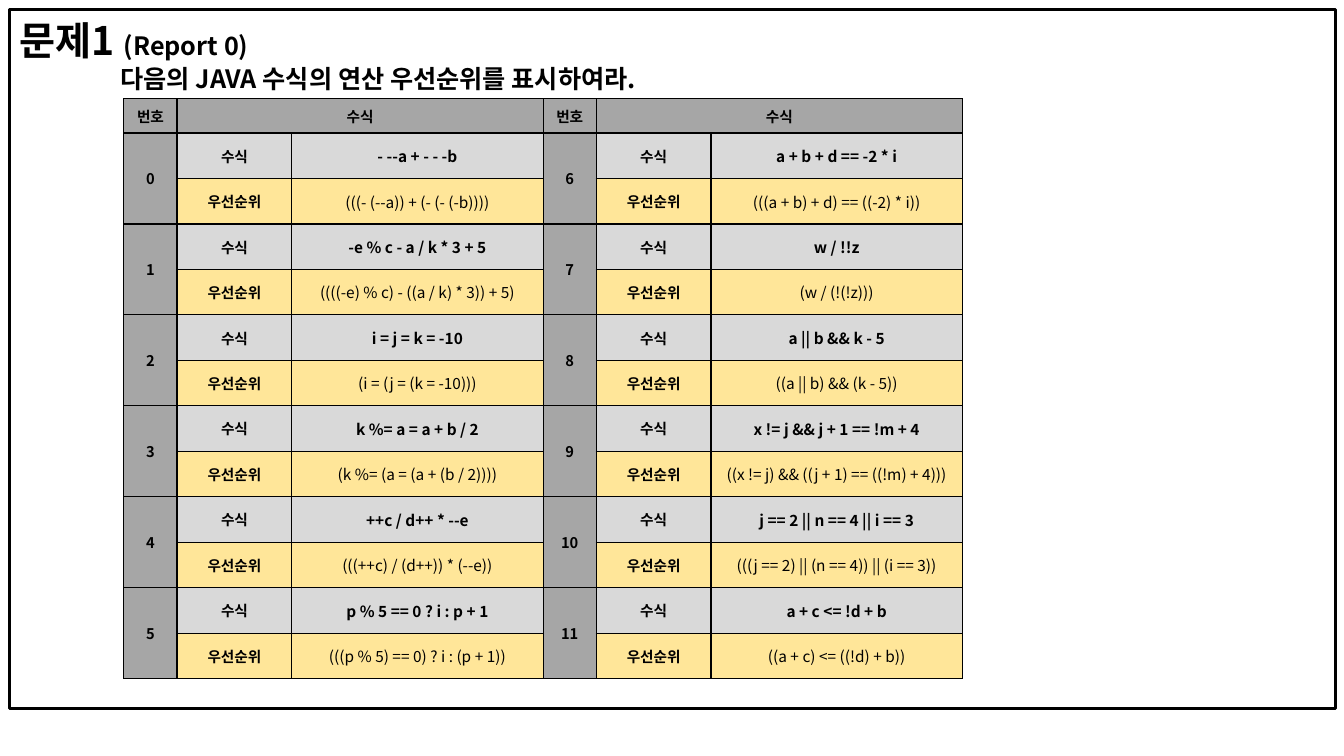
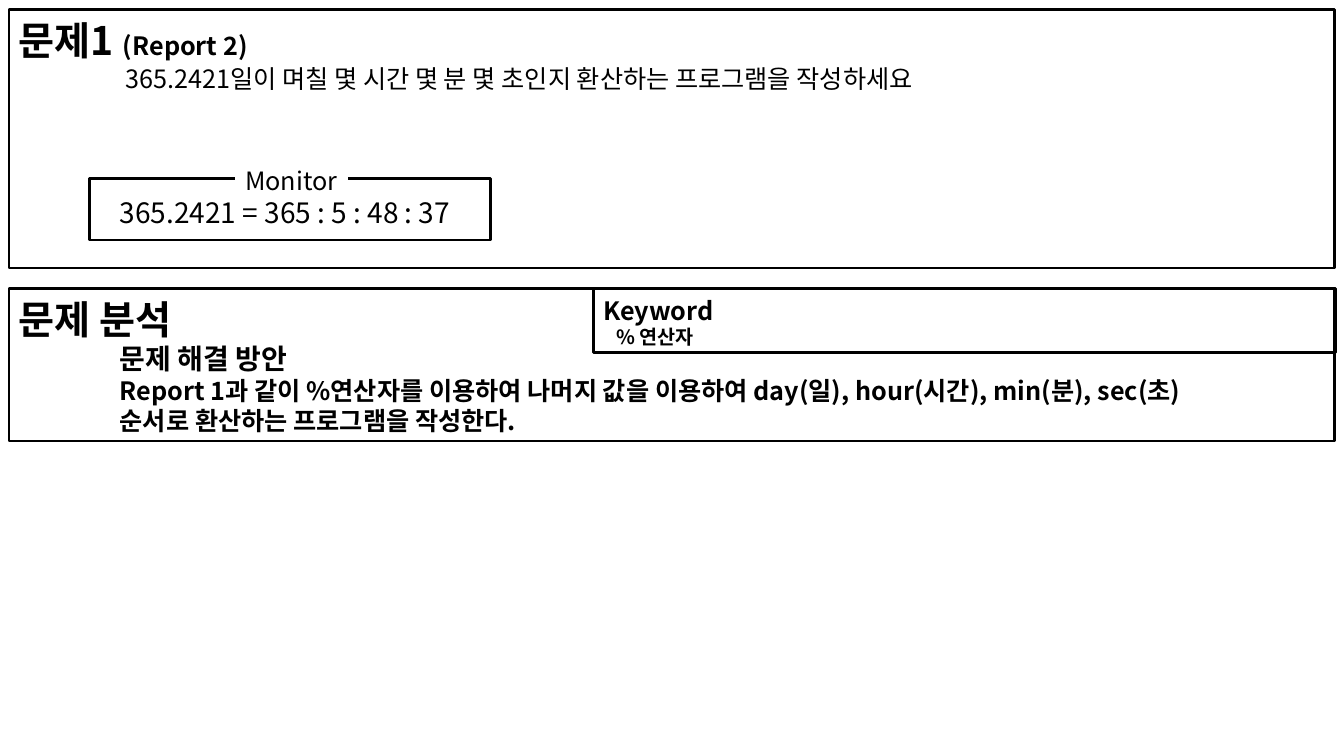
"""Build two slides of Java exercises: operator precedence and time conversion."""

import dataclasses
import typing

import lxml.etree
import pptx
import pptx.dml.color
import pptx.enum.shapes
import pptx.enum.text
import pptx.oxml.ns
import pptx.util

Pt = pptx.util.Pt
FONT = "Noto Sans CJK KR"
LINE_RATIO = 1.19
INDENT = 72
COLORS = {
    "ink": "000000",
    "paper": "FFFFFF",
    "number": "A6A6A6",
    "expression": "D9D9D9",
    "precedence": "FFE699",
}


class Span(typing.NamedTuple):
    text: str
    size: float
    bold: bool = True


class Line(typing.NamedTuple):
    spans: tuple[Span, ...]
    indent: float = 0
    before: float = 0


@dataclasses.dataclass(frozen=True)
class Panel:
    left: float
    top: float
    width: float
    height: float
    lines: tuple[Line, ...] = ()
    fill: str | None = None
    outlined: bool = True
    wrap: bool = True


class Exercise(typing.NamedTuple):
    expression: str
    precedence: str


EXERCISES = (
    Exercise("- --a + - - -b", "(((- (--a)) + (- (- (-b))))"),
    Exercise("-e % c - a / k * 3 + 5", "((((-e) % c) - ((a / k) * 3)) + 5)"),
    Exercise("i = j = k = -10", "(i = (j = (k = -10)))"),
    Exercise("k %= a = a + b / 2", "(k %= (a = (a + (b / 2))))"),
    Exercise("++c / d++ * --e", "(((++c) / (d++)) * (--e))"),
    Exercise("p % 5 == 0 ? i : p + 1", "(((p % 5) == 0) ? i : (p + 1))"),
    Exercise("a + b + d == -2 * i", "(((a + b) + d) == ((-2) * i))"),
    Exercise("w / !!z", "(w / (!(!z)))"),
    Exercise("a || b && k - 5", "((a || b) && (k - 5))"),
    Exercise("x != j && j + 1 == !m + 4", "((x != j) && ((j + 1) == ((!m) + 4)))"),
    Exercise("j == 2 || n == 4 || i == 3", "(((j == 2) || (n == 4)) || (i == 3))"),
    Exercise("a + c <= !d + b", "((a + c) <= ((!d) + b))"),
)
EXERCISES_PER_SIDE = len(EXERCISES) // 2
SIDE_WIDTHS = (38, 82, 179.5)
HEADER_HEIGHT, ROW_HEIGHT = 24.5, 32.5


def rgb(name: str) -> pptx.dml.color.RGBColor:
    return pptx.dml.color.RGBColor.from_string(COLORS[name])


def problem_title(report: str) -> Line:
    return Line((Span("문제1 ", 28), Span(f"(Report {report})", 18)))


def body_line(text: str, size: float, bold: bool = True,
              indent: float = INDENT, before: float = 0) -> Line:
    return Line((Span(text, size, bold),), indent, before)


PRECEDENCE_PROBLEM = Panel(7, 7, 947, 499, (
    problem_title("0"),
    body_line("다음의 JAVA 수식의 연산 우선순위를 표시하여라.", 18),
))
CONVERSION_PANELS = (
    Panel(6.5, 7, 947, 184.5, (
        problem_title("2"),
        body_line("365.2421일이 며칠 몇 시간 몇 분 몇 초인지 환산하는 프로그램을 작성하세요",
                  18, False, INDENT + 4),
        body_line("365.2421 = 365 : 5 : 48 : 37", 20, False, before=73),
    )),
    Panel(6.5, 206, 947, 109, (
        body_line("문제 분석", 28, indent=0),
        body_line("문제 해결 방안", 20),
        body_line("Report 1과 같이 %연산자를 이용하여 나머지 값을 이용하여 "
                  "day(일), hour(시간), min(분), sec(초)", 18),
        body_line("순서로 환산하는 프로그램을 작성한다.", 18),
    )),
    Panel(64, 127.5, 286.5, 44),
    Panel(168, 113, 80.5, 29, (body_line("Monitor", 18, False, 0),),
          fill="paper", outlined=False, wrap=False),
    Panel(424, 206, 530, 46, (
        body_line("Keyword", 18, indent=0),
        body_line("% 연산자", 14, indent=9),
    )),
)


def add_span(paragraph: typing.Any, span: Span) -> None:
    run = paragraph.add_run()
    run.text = span.text
    run.font.color.rgb = rgb("ink")
    formats = {"size": Pt(span.size), "bold": span.bold, "name": FONT}
    for attribute, value in formats.items():
        setattr(run.font, attribute, value)
    east_asian = lxml.etree.SubElement(
        run._r.get_or_add_rPr(), pptx.oxml.ns.qn("a:ea"))
    east_asian.set("typeface", FONT)


def add_line(paragraph: typing.Any, line: Line) -> None:
    formats = {
        "alignment": pptx.enum.text.PP_ALIGN.LEFT,
        "line_spacing": Pt(max(span.size for span in line.spans) * LINE_RATIO),
        "space_before": Pt(line.before),
    }
    for attribute, value in formats.items():
        setattr(paragraph, attribute, value)
    paragraph._p.get_or_add_pPr().set("marL", str(int(Pt(line.indent))))
    for span in line.spans:
        add_span(paragraph, span)


def draw_panel(slide: typing.Any, panel: Panel) -> None:
    box = slide.shapes.add_shape(
        pptx.enum.shapes.MSO_SHAPE.RECTANGLE,
        Pt(panel.left), Pt(panel.top), Pt(panel.width), Pt(panel.height))
    box.shadow.inherit = False
    if panel.fill:
        box.fill.solid()
        box.fill.fore_color.rgb = rgb(panel.fill)
    else:
        box.fill.background()
    if panel.outlined:
        box.line.color.rgb = rgb("ink")
        box.line.width = Pt(2)
    else:
        box.line.fill.background()
    frame = box.text_frame
    formats = {
        "word_wrap": panel.wrap,
        "vertical_anchor": pptx.enum.text.MSO_ANCHOR.TOP,
        "margin_top": Pt(5),
        "margin_bottom": Pt(0),
    }
    for attribute, value in formats.items():
        setattr(frame, attribute, value)
    for index, line in enumerate(panel.lines):
        add_line(frame.add_paragraph() if index else frame.paragraphs[0], line)


def add_borders(cell: typing.Any) -> None:
    properties = cell._tc.get_or_add_tcPr()
    for side in ("lnL", "lnR", "lnT", "lnB"):
        edge = lxml.etree.SubElement(
            properties, pptx.oxml.ns.qn(f"a:{side}"), w=str(int(Pt(1))))
        ink = lxml.etree.SubElement(edge, pptx.oxml.ns.qn("a:solidFill"))
        lxml.etree.SubElement(
            ink, pptx.oxml.ns.qn("a:srgbClr"), val=COLORS["ink"])


def fill_cell(cell: typing.Any, span: Span, fill: str, inset: float = 7.2) -> None:
    cell.fill.solid()
    cell.fill.fore_color.rgb = rgb(fill)
    formats = {
        "vertical_anchor": pptx.enum.text.MSO_ANCHOR.MIDDLE,
        "margin_left": Pt(inset),
        "margin_right": Pt(inset),
    }
    for attribute, value in formats.items():
        setattr(cell, attribute, value)
    paragraph = cell.text_frame.paragraphs[0]
    paragraph.alignment = pptx.enum.text.PP_ALIGN.CENTER
    add_span(paragraph, span)


def draw_exercises(slide: typing.Any) -> None:
    widths = SIDE_WIDTHS * 2
    heights = (HEADER_HEIGHT,) + (ROW_HEIGHT,) * len(EXERCISES)
    grid = slide.shapes.add_table(
        len(heights), len(widths), Pt(88.5), Pt(70.5),
        Pt(sum(widths)), Pt(sum(heights))).table
    grid.first_row = grid.horz_banding = False
    for column, width in zip(grid.columns, widths):
        column.width = Pt(width)
    for row, height in zip(grid.rows, heights):
        row.height = Pt(height)
    for cell in grid.iter_cells():
        add_borders(cell)
    for first in (0, len(SIDE_WIDTHS)):
        grid.cell(0, first + 1).merge(grid.cell(0, first + 2))
        fill_cell(grid.cell(0, first), Span("번호", 10.5), "number")
        fill_cell(grid.cell(0, first + 1), Span("수식", 10.5), "number")
    for number, exercise in enumerate(EXERCISES):
        side, position = divmod(number, EXERCISES_PER_SIDE)
        first, row = side * len(SIDE_WIDTHS), 1 + 2 * position
        grid.cell(row, first).merge(grid.cell(row + 1, first))
        fill_cell(grid.cell(row, first), Span(str(number), 10.5), "number")
        fill_cell(grid.cell(row, first + 1), Span("수식", 10.5), "expression")
        fill_cell(grid.cell(row, first + 2),
                  Span(exercise.expression, 11), "expression")
        fill_cell(grid.cell(row + 1, first + 1),
                  Span("우선순위", 10.5), "precedence")
        fill_cell(grid.cell(row + 1, first + 2),
                  Span(exercise.precedence, 11, False), "precedence", 1)


def main() -> None:
    deck = pptx.Presentation()
    deck.slide_width, deck.slide_height = Pt(960), Pt(540)
    blank = deck.slide_layouts[6]
    precedence_slide = deck.slides.add_slide(blank)
    draw_panel(precedence_slide, PRECEDENCE_PROBLEM)
    draw_exercises(precedence_slide)
    conversion_slide = deck.slides.add_slide(blank)
    for panel in CONVERSION_PANELS:
        draw_panel(conversion_slide, panel)
    deck.save("out.pptx")


if __name__ == "__main__":
    main()
